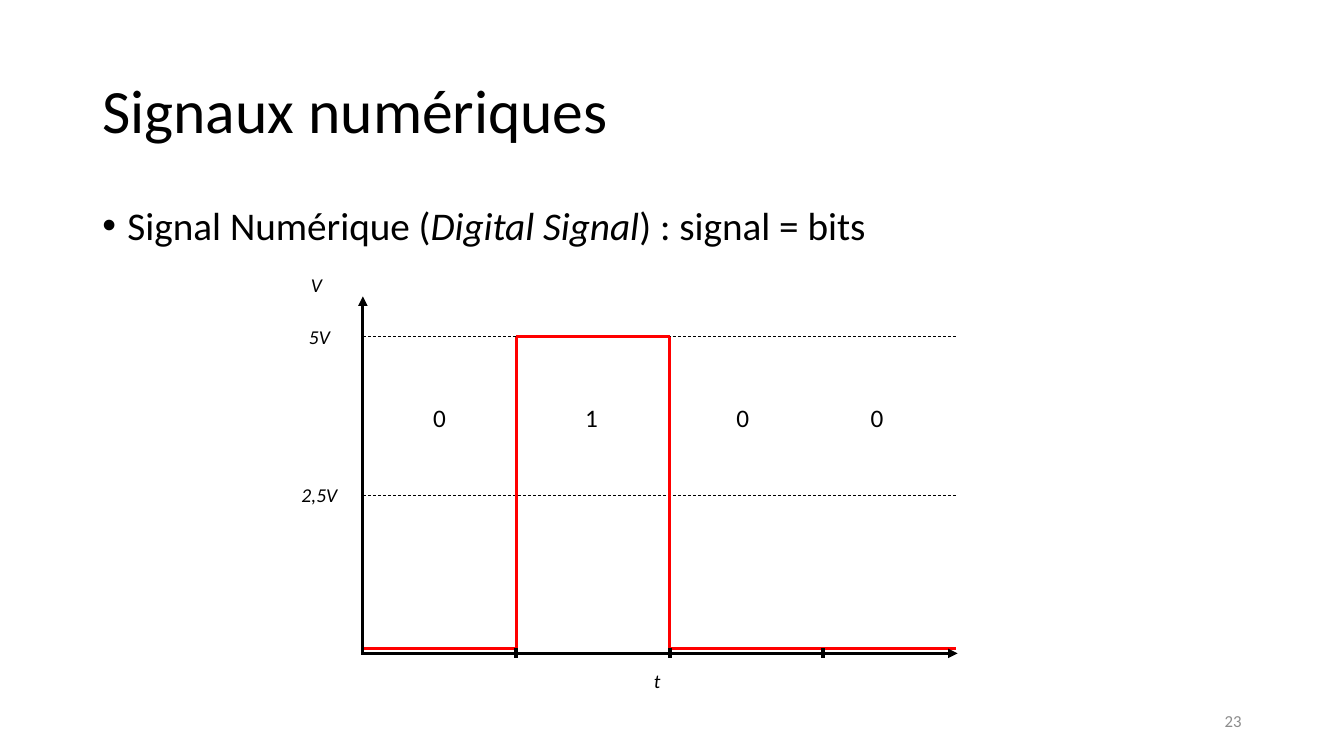
"""Build the slide on digital signals."""
from dataclasses import dataclass

from pptx import Presentation
from pptx import util as u
from pptx.dml import color
from pptx.enum import dml, shapes, text
from pptx.oxml import ns, xmlchemy


@dataclass(frozen=True)
class Theme:
    """Fonts, colours and type sizes of the deck."""
    font: str = "Calibri"
    ink: str = "000000"
    signal: str = "FF0000"
    muted: str = "8C8C8C"
    title: int = 44
    body: int = 28
    bit: int = 18
    label: int = 14
    footer: int = 12


class Slide:
    """Draw styled elements on one page."""

    def __init__(self, page, theme):
        self.page = page
        self.theme = theme

    def add_text(self, spans, left, top, width, height, *, size, ink=None, italic=False,
                 align=text.PP_ALIGN.LEFT, anchor=text.MSO_ANCHOR.TOP, spacing=None, bullet=None):
        """Add a text box from a string or a list of (words, italic) spans."""
        box = self.page.shapes.add_textbox(u.Pt(left), u.Pt(top), u.Pt(width), u.Pt(height))
        frame = box.text_frame
        frame.word_wrap = True
        frame.vertical_anchor = anchor
        para = frame.paragraphs[0]
        if bullet:
            self.add_bullet(para, bullet)
        para.alignment = align
        if spacing:
            para.line_spacing = spacing
        for words, slanted in [(spans, italic)] if isinstance(spans, str) else spans:
            span = para.add_run()
            span.text = words
            span.font.name = self.theme.font
            span.font.size = u.Pt(size)
            span.font.italic = slanted
            span.font.color.rgb = color.RGBColor.from_string(ink or self.theme.ink)

    def add_bullet(self, para, mark, indent=18):
        """Give a paragraph a hanging bullet."""
        properties = para._p.get_or_add_pPr()
        properties.set("marL", str(u.Pt(indent)))
        properties.set("indent", str(-u.Pt(indent)))
        for tag, name, value in (("a:buFont", "typeface", "Arial"), ("a:buChar", "char", mark)):
            element = xmlchemy.OxmlElement(tag)
            element.set(name, value)
            properties.append(element)

    def add_label(self, words, center, top):
        """Add a centred italic axis label."""
        self.add_text(words, center - 62, top, 124, 24.5, size=self.theme.label,
                      italic=True, align=text.PP_ALIGN.CENTER)

    def add_line(self, start, end, *, ink=None, weight=2.25, dashed=False, arrow=False):
        """Draw a straight line between two points."""
        line = self.page.shapes.add_connector(
            shapes.MSO_CONNECTOR.STRAIGHT, *(u.Pt(value) for value in (*start, *end)))
        line.line.color.rgb = color.RGBColor.from_string(ink or self.theme.ink)
        line.line.width = u.Pt(weight)
        if dashed:
            line.line.dash_style = dml.MSO_LINE.DASH
        properties = line._element.spPr
        if arrow:
            head = xmlchemy.OxmlElement("a:tailEnd")
            head.set("type", "triangle")
            properties.find(ns.qn("a:ln")).append(head)
        properties.append(xmlchemy.OxmlElement("a:effectLst"))

    def add_signal(self):
        """Draw the axes, voltage levels and bits of the signal."""
        bits = (0, 1, 0, 0)
        left, right, step = 259.2, 684, 109.6
        high, middle, low, axis = 240.5, 353.5, 463, 466.7
        edges = [left + step * index for index in range(len(bits))] + [right - 1]
        levels = [high if bit else low for bit in bits]

        self.add_label("t", 469.4, 474.5)
        self.add_label("V", 226.1, 191.5)
        for words, level in (("2,5V", middle), ("5V", high)):
            self.add_label(words, 228.2, level - 12.2)
            self.add_line((left, level), (right, level), weight=0.5, dashed=True)

        for start, end, level in zip(edges, edges[1:], levels):
            self.add_line((start, level), (end, level), ink=self.theme.signal)
        for edge, before, after in zip(edges[1:], levels, levels[1:]):
            if before != after:
                self.add_line((edge, high), (edge, low), ink=self.theme.signal)

        self.add_line((left - 1.2, axis), (right, axis), arrow=True)
        self.add_line((left, axis + 0.6), (left, 211.7), arrow=True)
        for edge in edges[1:-1]:
            self.add_line((edge, low), (edge, 470.2), weight=3)
        for bit, center in zip(bits, (313.9, 422.6, 530.6, 626.4)):
            self.add_text(str(bit), center - 19.5, 283.5, 39, 29, size=self.theme.bit,
                          align=text.PP_ALIGN.CENTER)


def main():
    """Create and save the deck."""
    deck = Presentation()
    deck.slide_width, deck.slide_height = u.Pt(960), u.Pt(540)
    theme = Theme()
    slide = Slide(deck.slides.add_slide(deck.slide_layouts[6]), theme)
    slide.add_text("Signaux numériques", 66, 28.8, 828, 104.4, size=theme.title,
                   anchor=text.MSO_ANCHOR.MIDDLE, spacing=0.9)
    slide.add_text([("Signal Numérique (", False), ("Digital Signal", True),
                    (") : signal = bits", False)],
                   66, 144, 828, 342.7, size=theme.body, spacing=0.9, bullet="•")
    slide.add_signal()
    slide.add_text("23", 678, 500.5, 216, 28.8, size=theme.footer, ink=theme.muted,
                   align=text.PP_ALIGN.RIGHT, anchor=text.MSO_ANCHOR.MIDDLE)
    deck.save("out.pptx")


if __name__ == "__main__":
    main()
